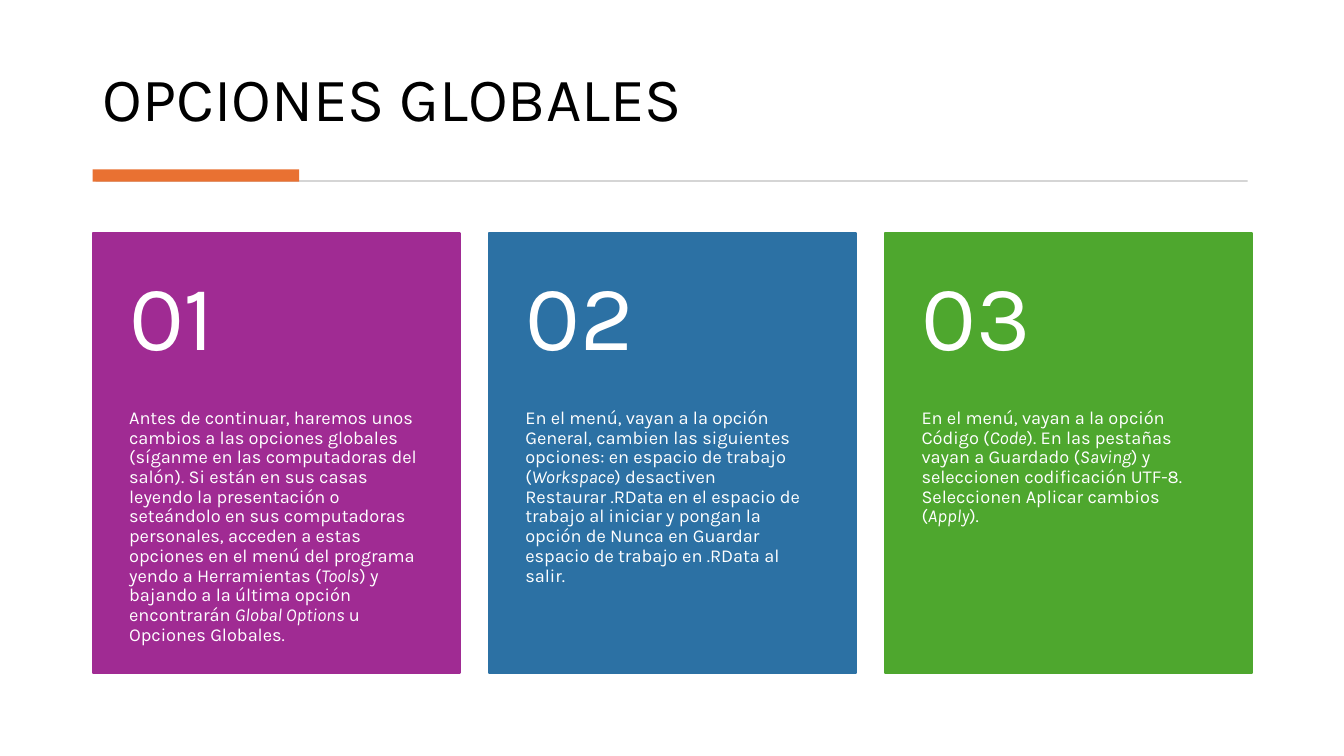
from pptx import Presentation
from pptx.dml.color import RGBColor
from pptx.enum.shapes import MSO_SHAPE
from pptx.enum.text import MSO_ANCHOR, PP_ALIGN
from pptx.util import Pt

MARGIN = 66.25
CARD_WIDTH, CARD_HEIGHT, CARD_TOP = 262, 314.5, 166.25
CARD_PITCH = 283
NUMBER_HEIGHT = 125.75

CARDS = [
    ("A02B93", "Antes de continuar, haremos unos cambios a las opciones globales "
     "(síganme en las computadoras del salón). Si están en sus casas leyendo la "
     "presentación o seteándolo en sus computadoras personales, acceden a estas "
     "opciones en el menú del programa yendo a Herramientas (*Tools*) y bajando a "
     "la última opción encontrarán *Global Options* u Opciones Globales."),
    ("2C71A4", "En el menú, vayan a la opción General, cambien las siguientes "
     "opciones: en espacio de trabajo (*Workspace*) desactiven Restaurar .RData en "
     "el espacio de trabajo al iniciar y pongan la opción de Nunca en Guardar "
     "espacio de trabajo en .RData al salir."),
    ("4EA72E", "En el menú, vayan a la opción Código (*Code*). En las pestañas "
     "vayan a Guardado (*Saving*) y seleccionen codificación UTF-8. Seleccionen "
     "Aplicar cambios (*Apply*)."),
]


def color(value):
    return RGBColor.from_string(value)


def write(frame, text, size, ink="FFFFFF", font="Karla"):
    """Fill the frame with one paragraph; parts between asterisks are italic."""
    paragraph = frame.paragraphs[0]
    paragraph.alignment = PP_ALIGN.LEFT
    paragraph.line_spacing = 0.9
    for index, part in enumerate(text.split("*")):
        run = paragraph.add_run()
        run.text = part
        run.font.name = font
        run.font.size = Pt(size)
        run.font.color.rgb = color(ink)
        run.font.italic = index % 2 == 1


class SlideBuilder:
    def __init__(self, slide):
        self.slide = slide

    def block(self, left, top, width, height, fill, line_width=0):
        shape = self.slide.shapes.add_shape(
            MSO_SHAPE.RECTANGLE, Pt(left), Pt(top), Pt(width), Pt(height))
        shape.shadow.inherit = False
        shape.fill.solid()
        shape.fill.fore_color.rgb = color(fill)
        if line_width:
            shape.line.color.rgb = color(fill)
            shape.line.width = Pt(line_width)
        else:
            shape.line.fill.background()

    def label(self, left, top, width, height, text, insets,
              anchor=MSO_ANCHOR.TOP, **text_format):
        """Add a text box; insets are left, top, right, bottom."""
        box = self.slide.shapes.add_textbox(Pt(left), Pt(top), Pt(width), Pt(height))
        frame = box.text_frame
        frame.word_wrap = True
        frame.vertical_anchor = anchor
        (frame.margin_left, frame.margin_top,
         frame.margin_right, frame.margin_bottom) = map(Pt, insets)
        write(frame, text, **text_format)

    def card(self, position, fill, instructions):
        left = MARGIN + position * CARD_PITCH
        self.block(left, CARD_TOP, CARD_WIDTH, CARD_HEIGHT, fill, line_width=1.5)
        self.label(left, CARD_TOP + NUMBER_HEIGHT, CARD_WIDTH,
                   CARD_HEIGHT - NUMBER_HEIGHT, instructions,
                   insets=(26, 0, 26, 26), size=13)
        self.label(left, CARD_TOP, CARD_WIDTH, NUMBER_HEIGHT, f"{position + 1:02}",
                   insets=(26, 13, 26, 13), anchor=MSO_ANCHOR.MIDDLE, size=66)


def main():
    presentation = Presentation()
    presentation.slide_width, presentation.slide_height = Pt(960), Pt(540)
    builder = SlideBuilder(presentation.slides.add_slide(presentation.slide_layouts[6]))

    builder.label(MARGIN, 20, 827.25, 80, "OPCIONES GLOBALES",
                  insets=(7.2, 3.6, 7.2, 3.6), anchor=MSO_ANCHOR.BOTTOM,
                  size=44, ink="000000")
    builder.block(68.25, 128.75, 823, 1.3, "D5D5D5")
    builder.block(MARGIN, 121, 147.5, 8.75, "E97132")
    for position, (fill, instructions) in enumerate(CARDS):
        builder.card(position, fill, instructions)

    presentation.save("out.pptx")


if __name__ == "__main__":
    main()
